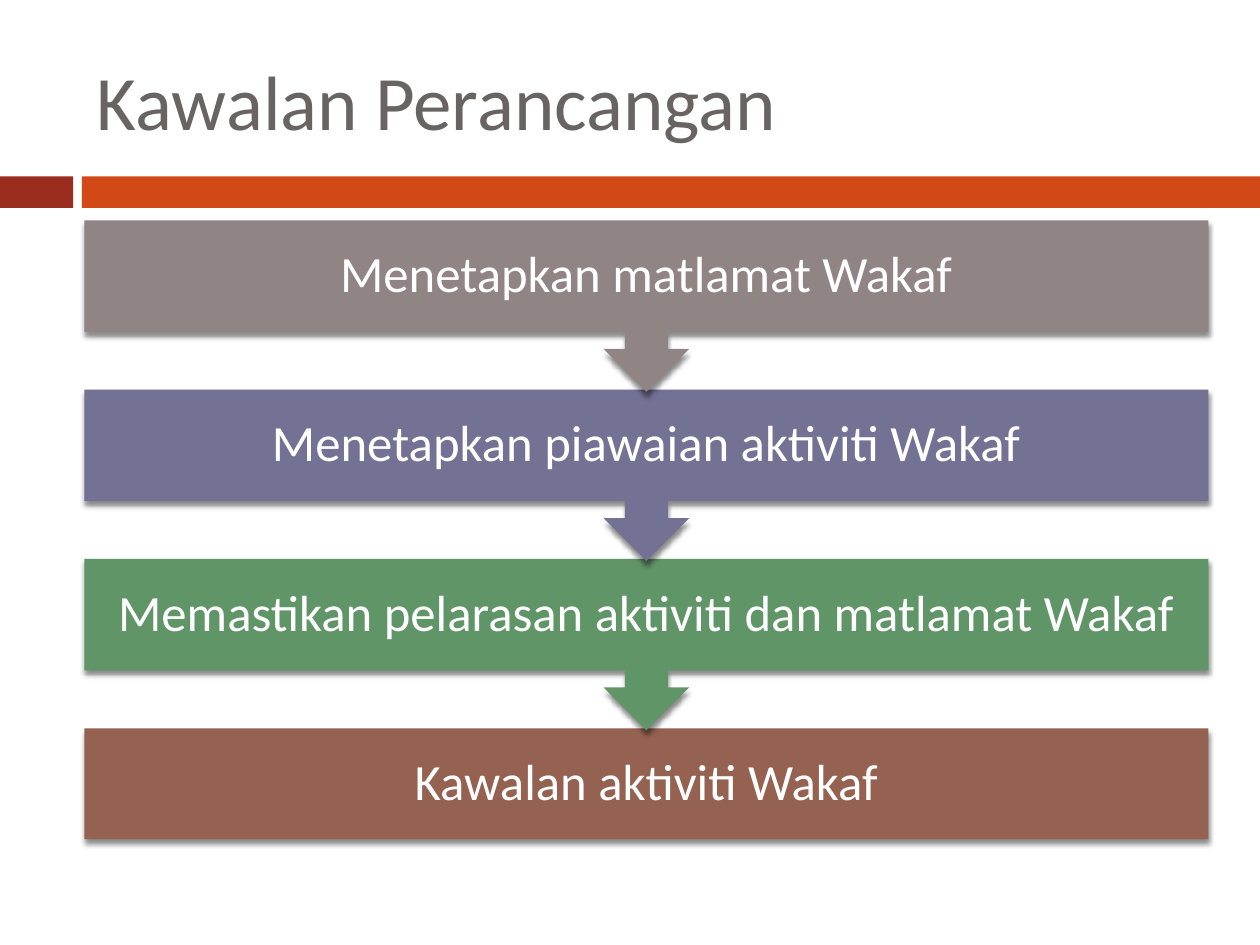
import pptx
import pptx.util
import pptx.dml.color
import pptx.enum.shapes
import pptx.enum.text
import pptx.oxml
import pptx.oxml.ns

Inches = pptx.util.Inches
SHAPE = pptx.enum.shapes.MSO_SHAPE
ALIGN = pptx.enum.text.PP_ALIGN
COLORS = {
    "title": "696464", "accent": "9B2D1F", "band": "D34817", "text": "FFFFFF",
    "goal": "918485", "standard": "737294", "alignment": "609568", "control": "956251",
}
STEPS = [
    ("Menetapkan matlamat Wakaf", "goal"),
    ("Menetapkan piawaian aktiviti Wakaf", "standard"),
    ("Memastikan pelarasan aktiviti dan matlamat Wakaf", "alignment"),
    ("Kawalan aktiviti Wakaf", "control"),
]


def rgb(name):
    return pptx.dml.color.RGBColor.from_string(COLORS[name])


def add_filled(s, kind, left, top, width, height, color):
    sp = s.shapes.add_shape(kind, Inches(left), Inches(top), Inches(width), Inches(height))
    sp.shadow.inherit = False
    sp.fill.solid()
    sp.fill.fore_color.rgb = rgb(color)
    sp.line.fill.background()
    return sp


def add_shadow(sp):
    effects = sp._element.spPr.find(pptx.oxml.ns.qn("a:effectLst"))
    effects.append(pptx.oxml.parse_xml(
        f'<a:outerShdw {pptx.oxml.ns.nsdecls("a")} blurRad="{pptx.util.Pt(3)}" '
        f'dist="{pptx.util.Pt(2.4)}" dir="5400000" rotWithShape="0">'
        '<a:srgbClr val="000000"><a:alpha val="45000"/></a:srgbClr></a:outerShdw>'))


def write(sp, text, size, color, align):
    tf = sp.text_frame
    tf.word_wrap = True
    tf.vertical_anchor = pptx.enum.text.MSO_ANCHOR.MIDDLE
    p = tf.paragraphs[0]
    p.text = text
    p.alignment = align
    r = p.runs[0]
    r.font.name = "Calibri"
    r.font.size = pptx.util.Pt(size)
    r.font.color.rgb = rgb(color)
    return tf


def add_title(s, left, top, width, height):
    sp = s.shapes.add_textbox(Inches(left), Inches(top), Inches(width), Inches(height))
    write(sp, "Kawalan Perancangan", 44, "title", ALIGN.LEFT)


def add_band(s, left, top, width, height):
    accent, gap = 0.58, 0.07
    add_filled(s, SHAPE.RECTANGLE, left, top, accent, height, "accent")
    add_filled(s, SHAPE.RECTANGLE, left + accent + gap, top,
               width - accent - gap, height, "band")


def add_flow(s, left, top, width, height):
    box, callout = 0.88, 1.36
    pitch = (height - box) / (len(STEPS) - 1)
    last = len(STEPS) - 1
    for i, (text, color) in reversed(list(enumerate(STEPS))):
        kind, h = (SHAPE.RECTANGLE, box) if i == last else (SHAPE.DOWN_ARROW_CALLOUT, callout)
        sp = add_filled(s, kind, left, top + i * pitch, width, h, color)
        add_shadow(sp)
        tf = write(sp, text, 29, "text", ALIGN.CENTER)
        tf.margin_left = tf.margin_right = Inches(0.23)
        tf.margin_top = tf.margin_bottom = Inches(0.23)
        tf.paragraphs[0].line_spacing = 0.9


def main():
    prs = pptx.Presentation()
    prs.slide_width, prs.slide_height = Inches(10), Inches(7.5)
    s = prs.slides.add_slide(prs.slide_layouts[6])
    add_band(s, 0, 1.4, 10, 0.25)
    add_title(s, 0.67, 0.25, 8.92, 1.08)
    add_flow(s, 0.67, 1.75, 8.92, 4.91)
    prs.save("out.pptx")


if __name__ == "__main__":
    main()
